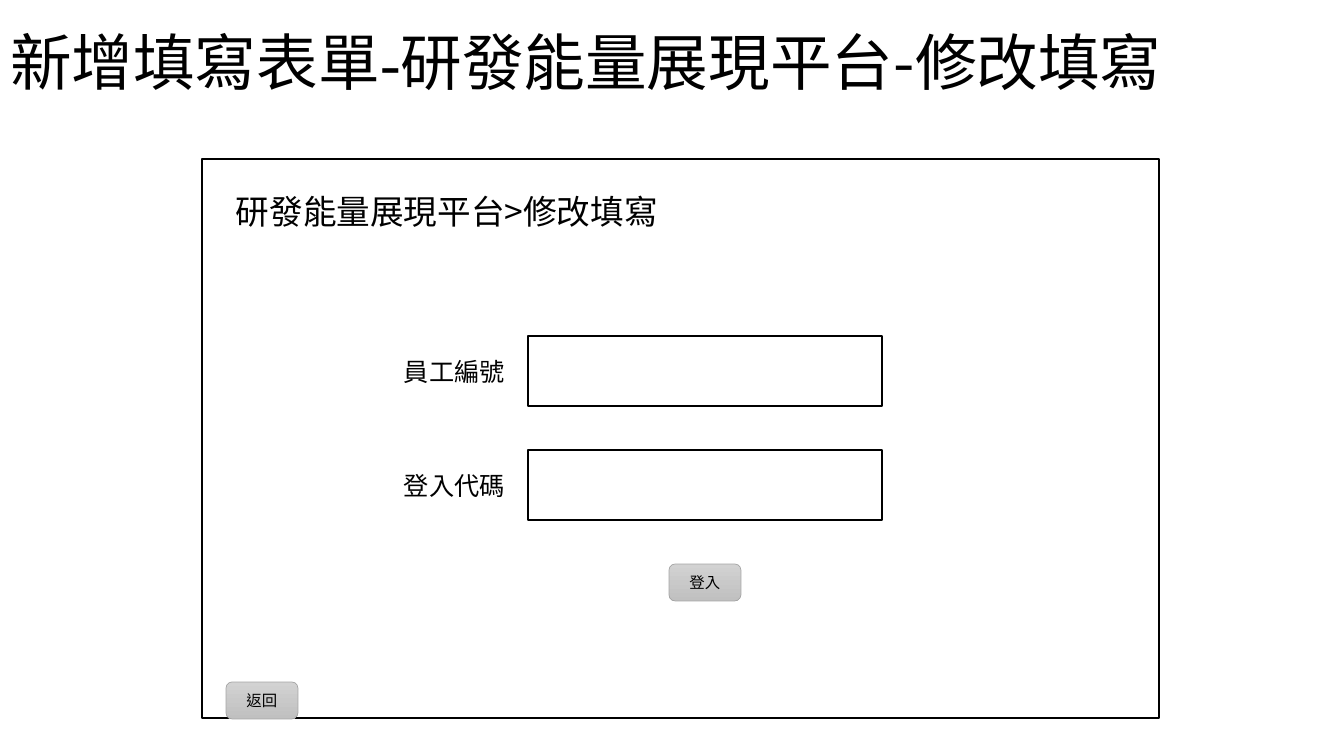
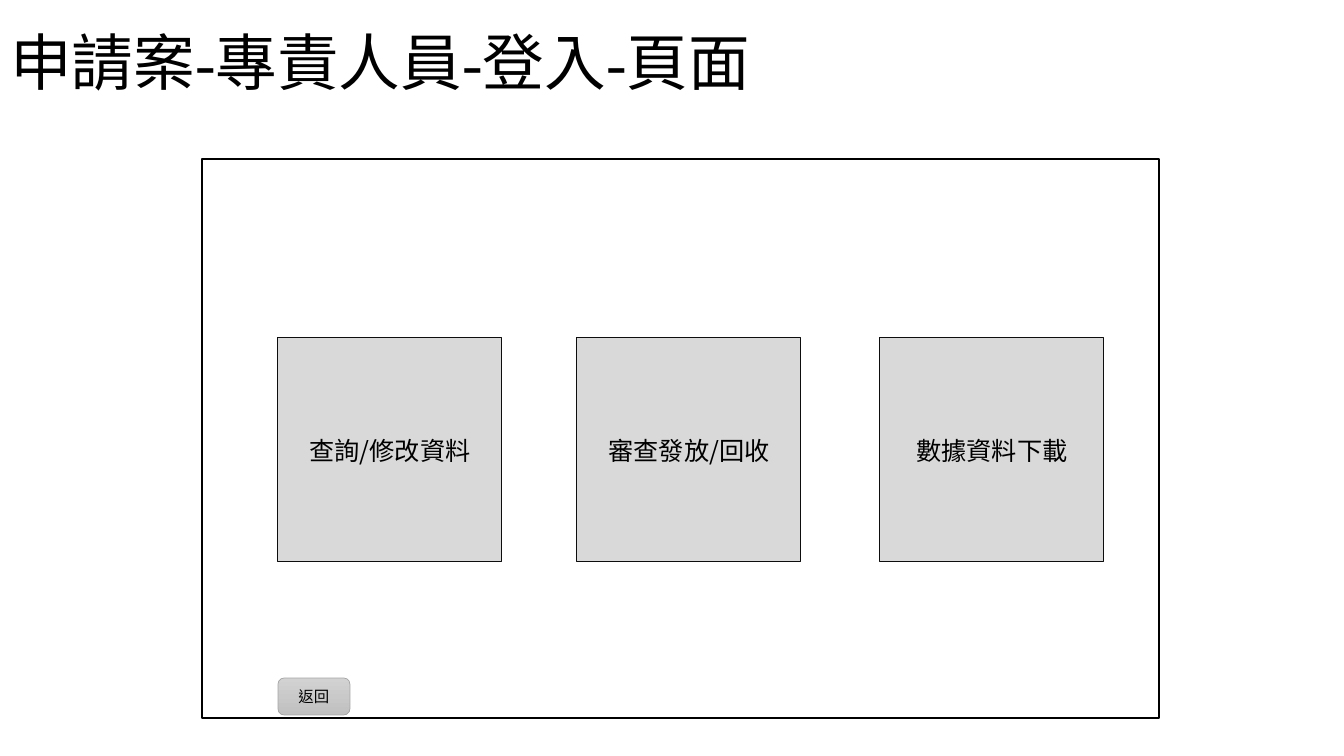
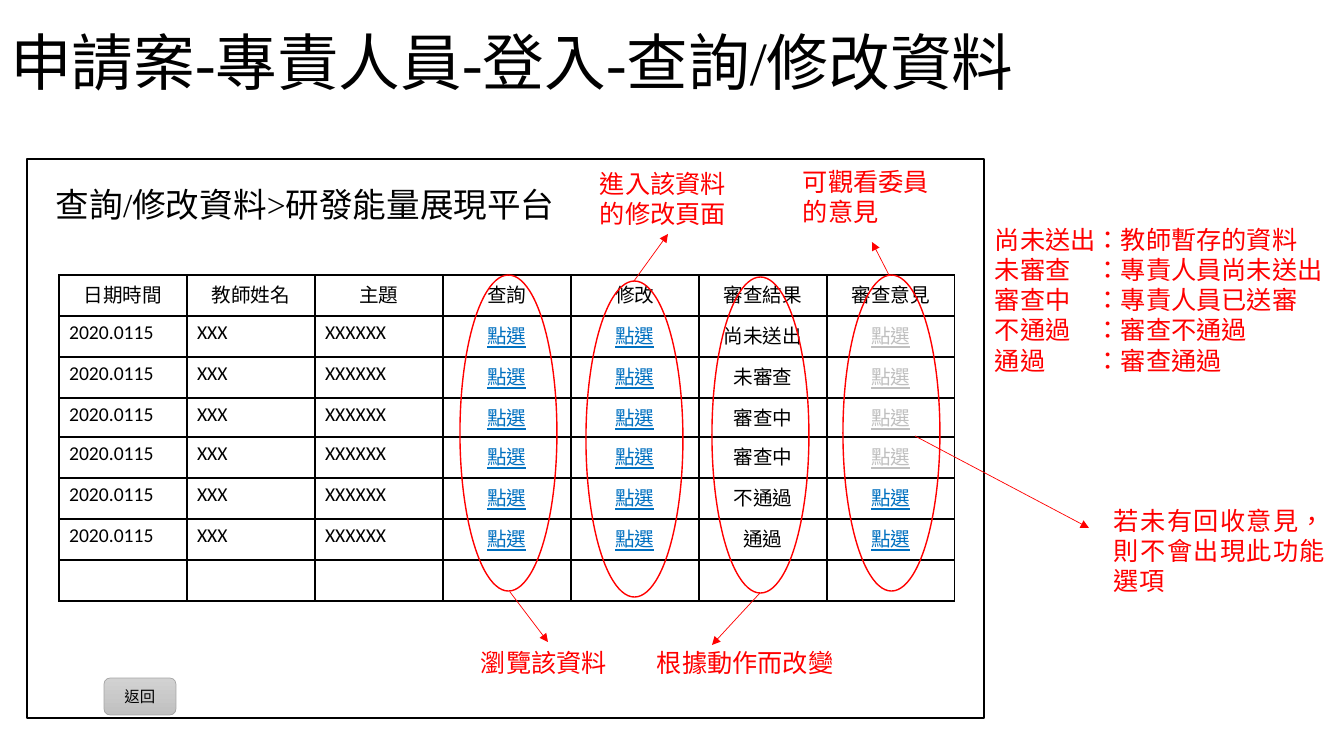
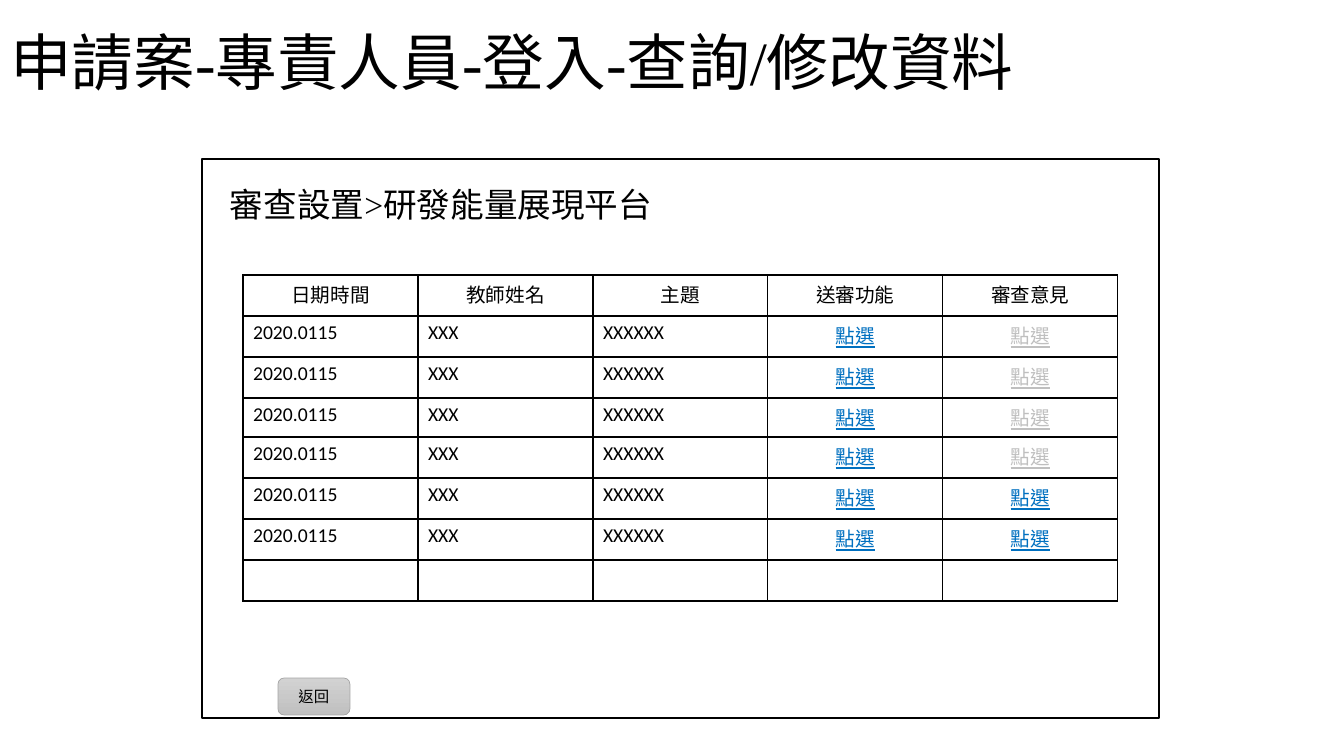
from lxml import etree
from pptx import Presentation
from pptx.dml.color import RGBColor
from pptx.enum.lang import MSO_LANGUAGE_ID
from pptx.enum.shapes import MSO_CONNECTOR, MSO_SHAPE
from pptx.enum.text import MSO_ANCHOR, MSO_AUTO_SIZE, PP_ALIGN
from pptx.oxml import parse_xml
from pptx.oxml.ns import nsdecls, qn
from pptx.util import Pt

RECT, ROUND, OVAL = MSO_SHAPE.RECTANGLE, MSO_SHAPE.ROUNDED_RECTANGLE, MSO_SHAPE.OVAL
LEFT, CENTER, JUST = PP_ALIGN.LEFT, PP_ALIGN.CENTER, PP_ALIGN.JUSTIFY
TOP, MIDDLE = MSO_ANCHOR.TOP, MSO_ANCHOR.MIDDLE
STRAIGHT = MSO_CONNECTOR.STRAIGHT
FIXED = MSO_AUTO_SIZE.NONE
TAIWAN = MSO_LANGUAGE_ID.TRADITIONAL_CHINESE

NOTO, SANS, SERIF = "Noto Sans CJK SC", "Calibri", "Times New Roman"
BLACK, WHITE, RED, BLUE, GRAY = "000000", "FFFFFF", "FF0000", "0070C0", "BFBFBF"
PX = 914400 / 100.8


def hue(code):
    return RGBColor.from_string(code)


def write(frame, text, tail="", size=18, font=NOTO, color=BLACK, align=LEFT,
          anchor=TOP, wrap=True, under=False, space=None):
    frame.word_wrap = wrap
    frame.vertical_anchor = anchor
    for row, words in enumerate(text.split("\n")):
        para = frame.add_paragraph() if row else frame.paragraphs[0]
        para.alignment = align
        para.line_spacing = space
        for piece, face in ((words, font), (tail, NOTO)):
            if not piece:
                continue
            run = para.add_run()
            run.text = piece
            run.font.size = Pt(size)
            run.font.name = face
            run.font.color.rgb = hue(color)
            run.font.underline = under
            run.font.language_id = TAIWAN
            east = etree.SubElement(run._r.get_or_add_rPr(), qn("a:ea"))
            east.set("typeface", NOTO)


deck = Presentation()
deck.slide_width, deck.slide_height = round(1344 * PX), round(756 * PX)

layout = deck.slide_layouts[5]
head = layout.placeholders[0]
head.left, head.top, head.width, head.height = [round(n * PX) for n in (0, 27, 1344, 78)]

QUERY = "申請案-專責人員-登入-查詢/修改資料"
PLATFORM = "研發能量展現平台"
pages = [
    ("新增填寫表單-", PLATFORM + "-修改填寫", 202),
    ("申請案-專責人員-登入-頁面", "", 202),
    (QUERY, "", 27),
    (QUERY, "", 202),
]
slides = []
for text, tail, left in pages:
    slide = deck.slides.add_slide(layout)
    slides.append(slide)
    title = slide.shapes.title.text_frame
    title.auto_size = FIXED
    write(title, text, tail=tail, size=44, font=SERIF, anchor=MIDDLE, space=0.9)
    panel = slide.shapes.add_shape(RECT, *[round(n * PX) for n in (left, 159, 957, 559)])
    panel.shadow.inherit = False
    panel.fill.background()
    panel.line.color.rgb = hue(BLACK)
    panel.line.width = Pt(1)

PICK = "點選"
STATES = ["尚未送出", "未審查", "審查中", "審查中", "不通過", "通過"]
LEAD = ["日期時間", "教師姓名", "主題"]
DATA = ["2020.0115", "XXX", "XXXXXX"]
tables = [
    (2, 59, 128, LEAD + ["查詢", "修改", "審查結果", "審查意見"],
     [DATA + [PICK, PICK, state, PICK] for state in STATES]),
    (3, 243, 175, LEAD + ["送審功能", "審查意見"],
     [DATA + [PICK, PICK] for state in STATES]),
]
HEIGHTS = [41, 41, 41, 39, 41, 41, 41, 41]
for page, left, width, names, body in tables:
    cols = len(names)
    box = [round(n * PX) for n in (left, 275, width * cols, sum(HEIGHTS))]
    table = slides[page].shapes.add_table(len(HEIGHTS), cols, *box).table
    table.first_row = table.horz_banding = False
    for col in table.columns:
        col.width = round(width * PX)
    for row, height in enumerate(HEIGHTS):
        table.rows[row].height = round(height * PX)
    grid = [names] + body + [[""] * cols]
    for row, texts in enumerate(grid):
        for col, text in enumerate(texts):
            cell = table.cell(row, col)
            cell.fill.background()
            props = cell._tc.get_or_add_tcPr()
            for spot, side in enumerate("LRTB"):
                props.insert(spot, parse_xml(
                    f'<a:ln{side} {nsdecls("a")} w="12700"><a:solidFill>'
                    f'<a:srgbClr val="{BLACK}"/></a:solidFill></a:ln{side}>'))
            link = text == PICK
            faint = col == cols - 1 and row < 5
            color = (GRAY if faint else BLUE) if link else BLACK
            align = LEFT if row and col < len(LEAD) else CENTER
            write(cell.text_frame, text, size=14, font=SANS, color=color,
                  align=align, under=link)

styles = {
    "crumb": (None, None, None, 0, dict(size=24)),
    "serif": (None, None, None, 0, dict(size=24, font=SERIF)),
    "label": (None, None, None, 0, dict(font=SANS, wrap=False)),
    "note": (None, None, None, 0, dict(color=RED)),
    "just": (None, None, None, 0, dict(color=RED, align=JUST)),
    "field": (RECT, WHITE, BLACK, 1, {}),
    "tile": (RECT, "D9D9D9", "0D0D0D", 0.75, dict(align=CENTER, anchor=MIDDLE)),
    "ring": (OVAL, None, RED, 1, {}),
    "button": (ROUND, ("D2D2D2", "C0C0C0"), "A5A5A5", 0.5,
               dict(size=11, font=SANS, align=CENTER, anchor=MIDDLE)),
}
parts = [
    (0, "crumb", (226, 186, 489, 50), PLATFORM + ">修改填寫", ""),
    (0, "button", (669, 564, 72, 37), "登入", ""),
    (2, "serif", (46, 179, 551, 92), "查詢/修改資料>", PLATFORM),
    (3, "serif", (220, 179, 528, 92), "審查設置>", PLATFORM),
    (2, "note", (590, 163, 156, 71), "進入該資料的修改頁面", ""),
    (2, "note", (793, 161, 156, 71), "可觀看委員的意見", ""),
    (2, "note", (471, 642, 156, 40), "瀏覽該資料", ""),
    (2, "note", (647, 642, 207, 40), "根據動作而改變", ""),
    (2, "note", (985, 219, 351, 163),
     "尚未送出：教師暫存的資料\n未審查　：專責人員尚未送出\n審查中　：專責人員已送審\n"
     "不通過　：審查不通過\n通過　　：審查通過", ""),
    (2, "just", (1104, 500, 231, 102), "若未有回收意見，則不會出現此功能選項", ""),
]
for step, text in enumerate(["員工編號", "登入代碼"]):
    top = 336 + 114 * step
    parts.append((0, "field", (528, top, 354, 70), "", ""))
    parts.append((0, "label", (394, top + 15, 122, 40), text, ""))
for left, text in [(278, "查詢/修改資料"), (577, "審查發放/回收"), (880, "數據資料下載")]:
    parts.append((1, "tile", (left, 338, 224, 224), text, ""))
for page, left, top in [(0, 226, 682), (1, 278, 678), (2, 104, 678), (3, 278, 678)]:
    parts.append((page, "button", (left, top, 72, 37), "返回", ""))
for left, top in [(460, 275), (586, 281), (712, 277), (843, 275)]:
    parts.append((2, "ring", (left, top, 97, 316), "", ""))

for page, style, box, text, tail in parts:
    kind, fill, line, weight, look = styles[style]
    shapes = slides[page].shapes
    place = [round(n * PX) for n in box]
    if kind is None:
        shape = shapes.add_textbox(*place)
    else:
        shape = shapes.add_shape(kind, *place)
        shape.shadow.inherit = False
        shape.line.color.rgb = hue(line)
        shape.line.width = Pt(weight)
        if fill is None:
            shape.fill.background()
        elif isinstance(fill, tuple):
            shape.fill.gradient()
            shape.fill.gradient_angle = 270
            for stop, code in zip(shape.fill.gradient_stops, fill):
                stop.color.rgb = hue(code)
        else:
            shape.fill.solid()
            shape.fill.fore_color.rgb = hue(fill)
    if text:
        write(shape.text_frame, text, tail=tail, **look)

arrows = [
    (510, 592, 548, 642),
    (634, 281, 668, 234),
    (760, 593, 712, 645),
    (889, 275, 872, 242),
    (915, 436, 1089, 528),
]
for ends in arrows:
    arrow = slides[2].shapes.add_connector(STRAIGHT, *[round(n * PX) for n in ends])
    arrow.line.color.rgb = hue(RED)
    arrow.line.width = Pt(0.5)
    etree.SubElement(arrow.line._get_or_add_ln(), qn("a:tailEnd")).set("type", "triangle")
    etree.SubElement(arrow._element.spPr, qn("a:effectLst"))

deck.save("out.pptx")
